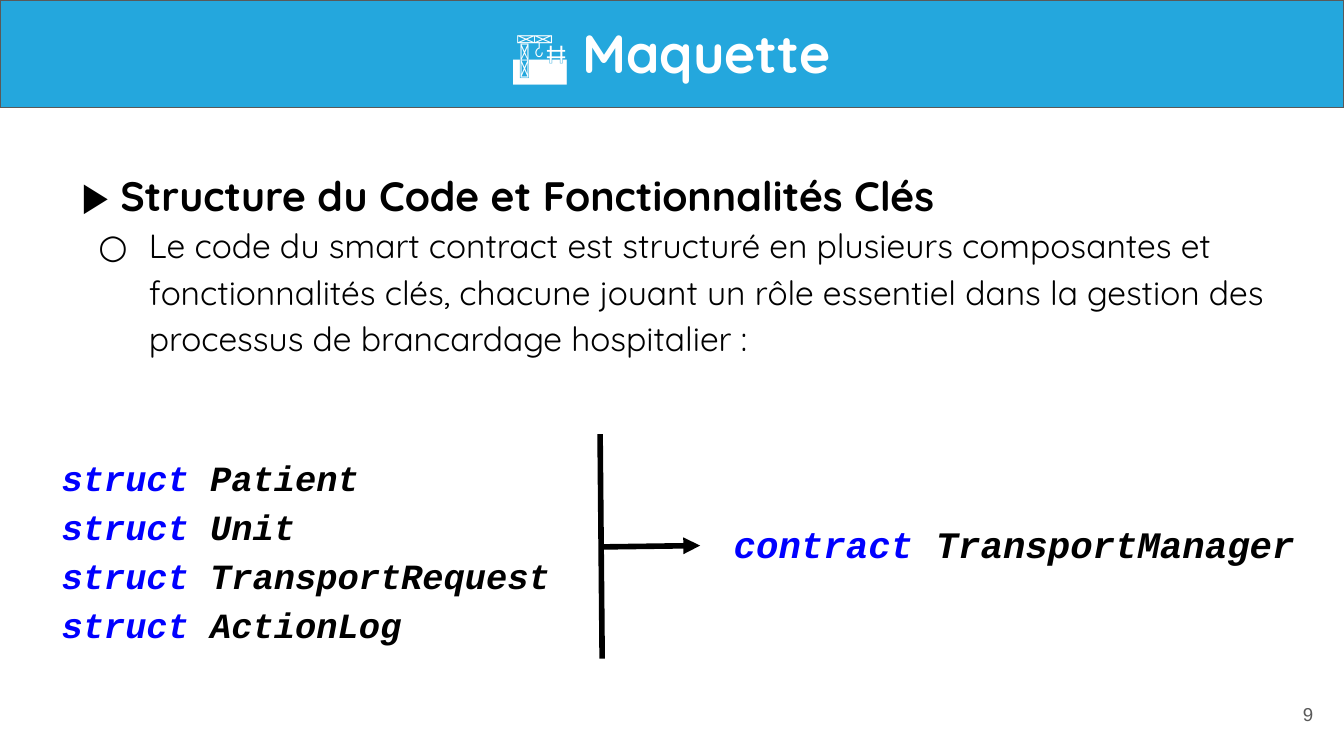
import pptx
import pptx.dml.color
import pptx.enum.shapes
import pptx.enum.text
import pptx.oxml.ns
import pptx.util
from lxml import etree

Pt = pptx.util.Pt
RGBColor = pptx.dml.color.RGBColor
ALIGN = pptx.enum.text.PP_ALIGN
ANCHOR = pptx.enum.text.MSO_ANCHOR
qn = pptx.oxml.ns.qn

BLUE = RGBColor(0x24, 0xA7, 0xDD)
GREY = RGBColor(0x59, 0x59, 0x59)
WHITE = RGBColor(0xFF, 0xFF, 0xFF)
BLACK = RGBColor(0, 0, 0)
KEYWORD = RGBColor(0, 0, 0xFF)


def set_frame(sp, left, top, width, height, anchor=ANCHOR.TOP):
    """Place a text shape and give its frame the common margins."""
    sp.left, sp.top, sp.width, sp.height = Pt(left), Pt(top), Pt(width), Pt(height)
    tf = sp.text_frame
    tf.word_wrap = True
    tf.auto_size = pptx.enum.text.MSO_AUTO_SIZE.NONE
    tf.vertical_anchor = anchor
    tf.margin_left = tf.margin_right = tf.margin_top = tf.margin_bottom = Pt(7.2)
    return tf


def add_run(p, text, font, size, color, bold=False, italic=False):
    r = p.add_run()
    r.text = text
    r.font.name = font
    r.font.size = Pt(size)
    r.font.color.rgb = color
    r.font.bold = bold
    r.font.italic = italic


prs = pptx.Presentation()
prs.slide_width, prs.slide_height = Pt(720), Pt(405)
s = prs.slides.add_slide(prs.slide_layouts[5])

# Title on its banner
banner = s.shapes.add_shape(pptx.enum.shapes.MSO_SHAPE.RECTANGLE, 0, 0, Pt(720), Pt(57.6))
banner.shadow.inherit = False
banner.fill.solid()
banner.fill.fore_color.rgb = BLUE
banner.line.color.rgb = GREY
banner.line.width = Pt(0.75)
title = s.shapes.title
title.element.addprevious(banner.element)
tf = set_frame(title, 24.5, 11.5, 671, 41, ANCHOR.BOTTOM)
p = tf.paragraphs[0]
p.alignment = ALIGN.CENTER
add_run(p, "🏗️ Maquette", "Quicksand", 28.8, WHITE, bold=True)

# Heading and explanation
tf = set_frame(s.shapes.add_textbox(0, 0, 0, 0), 36.7, 80, 659, 172.8)
p = tf.paragraphs[0]
p.line_spacing = 1.15
add_run(p, "▶ Structure du Code et Fonctionnalités Clés", "Quicksand", 22, BLACK, bold=True)
p = tf.add_paragraph()
p.level = 1
pPr = p._p.get_or_add_pPr()
pPr.set("marL", str(Pt(36)))
pPr.set("indent", str(Pt(-27)))
bullet_color = etree.SubElement(pPr, qn("a:buClr"))
etree.SubElement(bullet_color, qn("a:srgbClr"), val=str(BLACK))
etree.SubElement(pPr, qn("a:buFont"), typeface="Quicksand")
etree.SubElement(pPr, qn("a:buChar"), char="○")
p.line_spacing = 1.15
add_run(p, "Le code du smart contract est structuré en plusieurs composantes et "
        "fonctionnalités clés, chacune jouant un rôle essentiel dans la gestion des "
        "processus de brancardage hospitalier :", "Quicksand", 18, BLACK)

# Structs on the left, the contract on the right
structs = [("struct", f" {name}") for name in
           ("Patient", "Unit", "TransportRequest", "ActionLog")]
contract = [("contract ", "TransportManager")]
for frame, size, lines in (((25.9, 234, 291.6, 117.4), 19, structs),
                           ((386, 268.6, 327.6, 38.9), 20, contract)):
    tf = set_frame(s.shapes.add_textbox(0, 0, 0, 0), *frame)
    for i, (keyword, name) in enumerate(lines):
        p = tf.add_paragraph() if i else tf.paragraphs[0]
        p.line_spacing = 1.15
        add_run(p, keyword, "Courier New", size, KEYWORD, bold=True, italic=True)
        add_run(p, name, "Courier New", size, BLACK, bold=True, italic=True)

# Vertical bar and the arrow to the contract
for x1, y1, x2, y2, arrow in ((323.3, 293, 375.1, 292.3, True),
                              (321.5, 232.6, 322.6, 352.8, False)):
    link = s.shapes.add_connector(pptx.enum.shapes.MSO_CONNECTOR.STRAIGHT,
                                  Pt(x1), Pt(y1), Pt(x2), Pt(y2))
    link.line.color.rgb = BLACK
    link.line.width = Pt(3)
    if arrow:
        etree.SubElement(link.line._get_or_add_ln(), qn("a:tailEnd"), type="triangle")
    etree.SubElement(link.element.spPr, qn("a:effectLst"))

# Page number
tf = set_frame(s.shapes.add_textbox(0, 0, 0, 0), 667.4, 367.2, 43.2, 31, ANCHOR.MIDDLE)
p = tf.paragraphs[0]
p.alignment = ALIGN.RIGHT
add_run(p, "9", "Arial", 10, GREY)

prs.save("out.pptx")
